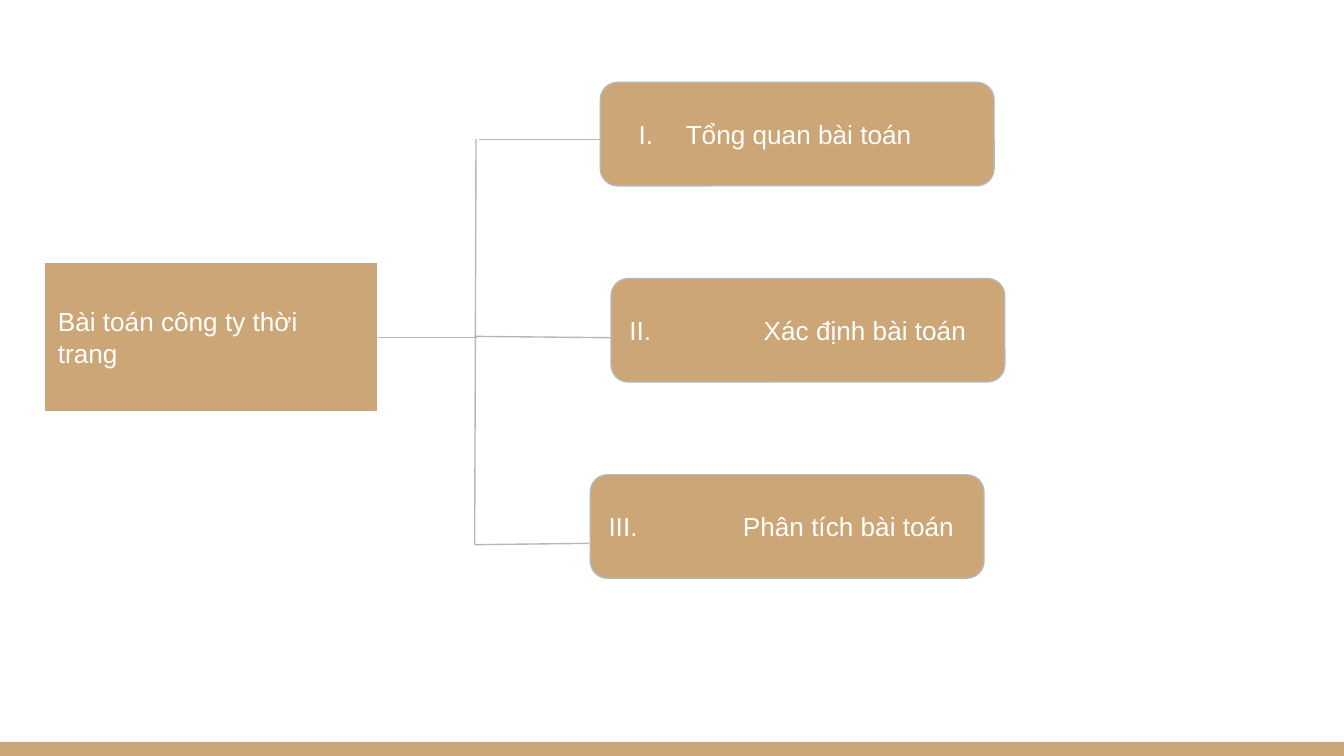
from collections import namedtuple

from lxml.etree import SubElement
from pptx import Presentation
from pptx.dml.color import RGBColor
from pptx.enum.shapes import MSO_CONNECTOR as Link, MSO_SHAPE as Shape
from pptx.enum.text import MSO_ANCHOR as Anchor, PP_ALIGN as Align
from pptx.oxml.ns import qn
from pptx.util import Inches, Pt

COLORS = {"tan": "CCA677", "white": "FFFFFF", "gray": "B7B7B7"}
FONT = "Arial"
COLUMNS, ROWS = 100, 56.25
CELL = Inches(0.1)
BRANCHES = [
    (41.35, "Tổng quan bài toán", True),
    (42.15, "II. \tXác định bài toán", False),
    (40.6, "III. \tPhân tích bài toán", False),
]

Box = namedtuple("Box", "left top width height")


def color(name):
    """Return the named colour."""
    return RGBColor.from_string(COLORS[name])


def cells(*counts):
    """Turn counts of grid cells into lengths."""
    return [round(count * CELL) for count in counts]


def place(region, left, top, width, height):
    """Return a box offset from the corner of its region."""
    return Box(region.left + left, region.top + top, width, height)


def add_block(page, kind, box, edge=None):
    """Add a tan shape with an optional outline."""
    block = page.shapes.add_shape(kind, *cells(*box))
    block.shadow.inherit = False
    block.fill.solid()
    block.fill.fore_color.rgb = color("tan")
    if edge:
        block.line.color.rgb = color(edge)
        block.line.width = Pt(0.75)
    else:
        block.line.fill.background()
    return block


def add_label(block, text, numbered=False):
    """Write left-aligned white text, with a Roman numeral if asked."""
    frame = block.text_frame
    frame.word_wrap = True
    frame.vertical_anchor = Anchor.MIDDLE
    frame.margin_left = frame.margin_right = CELL
    frame.margin_top = frame.margin_bottom = CELL
    para = frame.paragraphs[0]
    para.alignment = Align.LEFT
    span = para.add_run()
    span.text = text
    span.font.name = FONT
    span.font.size = Pt(14)
    span.font.color.rgb = color("white")
    props = para._p.get_or_add_pPr()
    if numbered:
        props.set("marL", str(Inches(0.5)))
        props.set("indent", str(Inches(-0.35)))
        tint = SubElement(props, qn("a:buClr"))
        SubElement(tint, qn("a:srgbClr"), val=COLORS["white"])
        SubElement(props, qn("a:buFont"), typeface=FONT)
        SubElement(props, qn("a:buAutoNum"), type="romanUcPeriod")
    else:
        stops = SubElement(props, qn("a:tabLst"))
        SubElement(stops, qn("a:tab"), pos=str(Inches(1)), algn="l")


def add_links(page, region):
    """Draw the trunk and its arms between root and branches."""
    for start, end in [
        ((24.8, 19), (32.2, 19)),
        ((32.1, 4.2), (32, 34.4)),
        ((32.3, 4.25), (41.4, 4.25)),
        ((32, 18.9), (42.2, 19)),
        ((32, 34.4), (40.5, 34.3)),
    ]:
        ends = [region.left + start[0], region.top + start[1],
                region.left + end[0], region.top + end[1]]
        link = page.shapes.add_connector(Link.STRAIGHT, *cells(*ends))
        link.line.color.rgb = color("gray")
        link.line.width = Pt(0.75)
        SubElement(link._element.spPr, qn("a:effectLst"))


def add_tree(page, region):
    """Place the root, the links and one branch per row."""
    root = add_block(page, Shape.RECTANGLE,
                     place(region, 0, 13.4, 24.8, 11.1), "white")
    add_label(root, "Bài toán công ty thời trang")
    add_links(page, region)
    pitch = region.height / len(BRANCHES)
    for row, (left, text, numbered) in enumerate(BRANCHES):
        branch = add_block(page, Shape.ROUNDED_RECTANGLE,
                           place(region, left, row * pitch, 29.3, 7.7), "gray")
        add_label(branch, text, numbered)


def add_footer(page, region):
    """Fill the strip at the foot of the page."""
    add_block(page, Shape.RECTANGLE, region)


def main():
    """Build and save the deck."""
    deck = Presentation()
    deck.slide_width, deck.slide_height = cells(COLUMNS, ROWS)
    page = deck.slides.add_slide(deck.slide_layouts[6])
    add_footer(page, Box(0, ROWS - 1.05, COLUMNS, 1.05))
    add_tree(page, Box(3.32, 6.13, 71.5, 43.8))
    deck.save("out.pptx")


if __name__ == "__main__":
    main()
